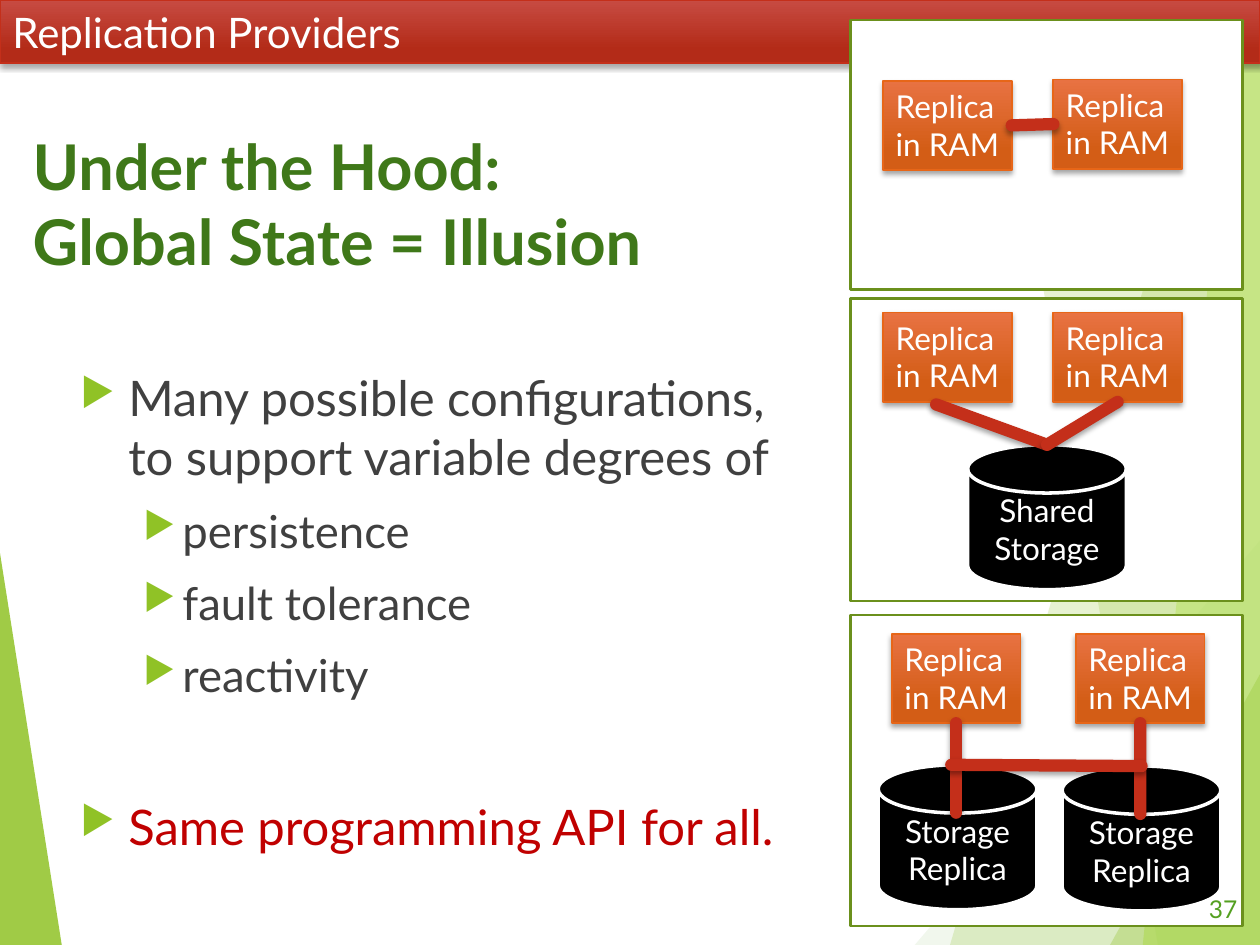
from dataclasses import dataclass

from lxml.etree import SubElement
from pptx import Presentation
from pptx.dml.color import RGBColor
from pptx.enum.shapes import MSO_CONNECTOR, MSO_SHAPE
from pptx.enum.text import MSO_ANCHOR, MSO_AUTO_SIZE, PP_ALIGN
from pptx.oxml import parse_xml
from pptx.oxml.ns import qn
from pptx.util import Inches, Pt


@dataclass(frozen=True)
class Theme:
    font: str = "Lato"
    white: str = "FFFFFF"
    black: str = "000000"
    text: str = "404040"
    title: str = "3F7819"
    accent: str = "C00000"
    link: str = "C42F1A"
    bullet: str = "90C226"
    number: str = "54A021"
    panel_line: str = "6B901C"
    replica_line: str = "E76618"
    bar_gradient: tuple = ("C74B42", "B32B18")
    replica_gradient: tuple = ("E87242", "D35D16")
    title_size: int = 36
    bar_size: int = 24
    body_size: int = 28
    sub_size: int = 26
    label_size: int = 18
    number_size: int = 14


theme = Theme()
SHADOW = (
    '<a:effectLst xmlns:a="http://schemas.openxmlformats.org/drawingml/2006/main">'
    '<a:outerShdw blurRad="38100" dist="25400" dir="5400000" rotWithShape="0">'
    '<a:srgbClr val="000000"><a:alpha val="35000"/></a:srgbClr>'
    "</a:outerShdw></a:effectLst>"
)


def write(frame, text, size, color=theme.white, bold=False, align=PP_ALIGN.LEFT,
          anchor=MSO_ANCHOR.TOP, wrap=True):
    frame.word_wrap = wrap
    frame.auto_size = MSO_AUTO_SIZE.NONE
    frame.vertical_anchor = anchor
    para = frame.paragraphs[0]
    if para.runs:
        para = frame.add_paragraph()
    para.alignment = align
    for index, line in enumerate(text.split("\n")):
        if index:
            para.add_line_break()
        span = para.add_run()
        span.text = line
        span.font.name = theme.font
        span.font.size = Pt(size)
        span.font.bold = bold
        span.font.color.rgb = RGBColor.from_string(color)
    return para


def add_box(kind, place, fill, line, width):
    box = page.shapes.add_shape(kind, *map(Inches, place))
    box.line.color.rgb = RGBColor.from_string(line)
    box.line.width = Pt(width)
    if isinstance(fill, tuple):
        box.fill.gradient()
        box.fill.gradient_angle = 270
        for stop, color, position in zip(box.fill.gradient_stops, fill, (0, 0.78)):
            stop.color.rgb = RGBColor.from_string(color)
            stop.position = position
        box.element.spPr.append(parse_xml(SHADOW))
    else:
        box.fill.solid()
        box.fill.fore_color.rgb = RGBColor.from_string(fill)
        box.shadow.inherit = False
    return box


deck = Presentation()
deck.slide_width, deck.slide_height = Inches(10), Inches(7.5)
page = deck.slides.add_slide(deck.slide_layouts[5])

facets = [
    ([(0, 4.39), (0.49, 7.5), (0, 7.5)], "90C226", 85),
    ([(9.75, 0), (7.54, 7.5), (10, 7.5), (10, 0)], "90C226", 21),
    ([(7.88, 0), (9.19, 7.5), (10, 7.5), (10, 0)], "90C226", 20),
    ([(7.26, 7.5), (10, 4.29), (10, 7.5)], "54A021", 8),
    ([(9.81, 0), (9.07, 7.5), (10, 7.5), (10, 0)], "C0E474", 70),
    ([(8.81, 7.5), (10, 5.35), (10, 7.5)], "90C226", 30),
]
for corners, color, opacity in facets:
    points = [(Inches(x), Inches(y)) for x, y in corners]
    builder = page.shapes.build_freeform(*points[0])
    builder.add_line_segments(points[1:], close=True)
    facet = builder.convert_to_shape()
    facet.fill.solid()
    facet.fill.fore_color.rgb = RGBColor.from_string(color)
    facet.line.fill.background()
    facet.shadow.inherit = False
    tint = facet.element.spPr.find(qn("a:solidFill"))[0]
    SubElement(tint, qn("a:alpha"), val=str(opacity * 1000))

bar = add_box(MSO_SHAPE.RECTANGLE, (0, 0, 10, 0.5), theme.bar_gradient, theme.link, 1)
write(bar.text_frame, "Replication Providers", theme.bar_size)

for top, height in [(4.88, 2.47), (2.37, 2.4), (0.16, 2.14)]:
    add_box(MSO_SHAPE.RECTANGLE, (6.75, top, 3.11, height), theme.white,
            theme.panel_line, 1.5)

title = page.shapes.title
title.left, title.top, title.width, title.height = map(Inches, (0.16, 0.96, 6.1, 1.44))
write(title.text_frame, "Under the Hood:\nGlobal State = Illusion", theme.title_size,
      color=theme.title, bold=True)

body = page.shapes.add_textbox(*map(Inches, (0.54, 2.87, 5.93, 4.4)))
points = [
    ("Many possible configurations, to support variable degrees of", 0, theme.text, 10),
    ("persistence", 1, theme.text, 10),
    ("fault tolerance", 1, theme.text, 10),
    ("reactivity", 1, theme.text, 10),
    ("Same programming API for all.", 0, theme.accent, 54),
]
for text, level, color, gap in points:
    size = theme.sub_size if level else theme.body_size
    para = write(body.text_frame, text, size, color=color)
    para.level = level
    para.space_before = Pt(gap)
    margin, hanging = [(0.38, 0.38), (0.81, 0.31)][level]
    properties = para._p.get_or_add_pPr()
    properties.set("marL", str(Inches(margin)))
    properties.set("indent", str(-Inches(hanging)))
    bullet_color = SubElement(properties, qn("a:buClr"))
    SubElement(bullet_color, qn("a:srgbClr"), val=theme.bullet)
    SubElement(properties, qn("a:buSzPct"), val="80000")
    SubElement(properties, qn("a:buChar"), char="▶")

number = page.shapes.add_textbox(*map(Inches, (9.36, 7.01, 0.56, 0.4)))
write(number.text_frame, "37", theme.number_size, color=theme.number,
      align=PP_ALIGN.RIGHT, anchor=MSO_ANCHOR.MIDDLE)

disks = [(7.68, 3.53, "Shared\nStorage"), (8.43, 6.08, "Storage\nReplica"),
         (6.97, 6.07, "Storage\nReplica")]
for left, top, text in disks:
    disk = add_box(MSO_SHAPE.FLOWCHART_MAGNETIC_DISK, (left, top, 1.26, 1.15),
                   theme.black, theme.white, 2)
    write(disk.text_frame, text, theme.label_size, align=PP_ALIGN.CENTER,
          anchor=MSO_ANCHOR.MIDDLE)

replicas = []
for left, top in [(7.01, 0.64), (8.36, 0.63), (7.01, 2.48), (8.36, 2.48),
                  (7.08, 5.03), (8.54, 5.03)]:
    replica = add_box(MSO_SHAPE.RECTANGLE, (left, top, 1.02, 0.71),
                      theme.replica_gradient, theme.replica_line, 1)
    write(replica.text_frame, "Replica\nin RAM", theme.label_size, wrap=False)
    replicas.append(replica)
memory_left, memory_right, _, shared_right, stored_left, stored_right = replicas

links = [
    ((7.43, 3.21), (8.31, 3.53), None, None),
    ((8.87, 3.19), (8.31, 3.53), (shared_right, 2), None),
    ((8.36, 0.98), (8.03, 0.99), (memory_right, 1), (memory_left, 3)),
    ((9.05, 5.74), (9.05, 6.46), (stored_right, 2), None),
    ((7.59, 6.45), (7.59, 5.74), None, (stored_left, 2)),
    ((9.06, 6.08), (7.55, 6.07), None, None),
]
for start, end, source, target in links:
    link = page.shapes.add_connector(MSO_CONNECTOR.STRAIGHT, *map(Inches, start + end))
    if source:
        link.begin_connect(*source)
    if target:
        link.end_connect(*target)
    link.line.color.rgb = RGBColor.from_string(theme.link)
    link.line.width = Pt(7)
    link.line._ln.set("cap", "rnd")
    link.element.spPr.append(parse_xml(SHADOW))

deck.save("out.pptx")
